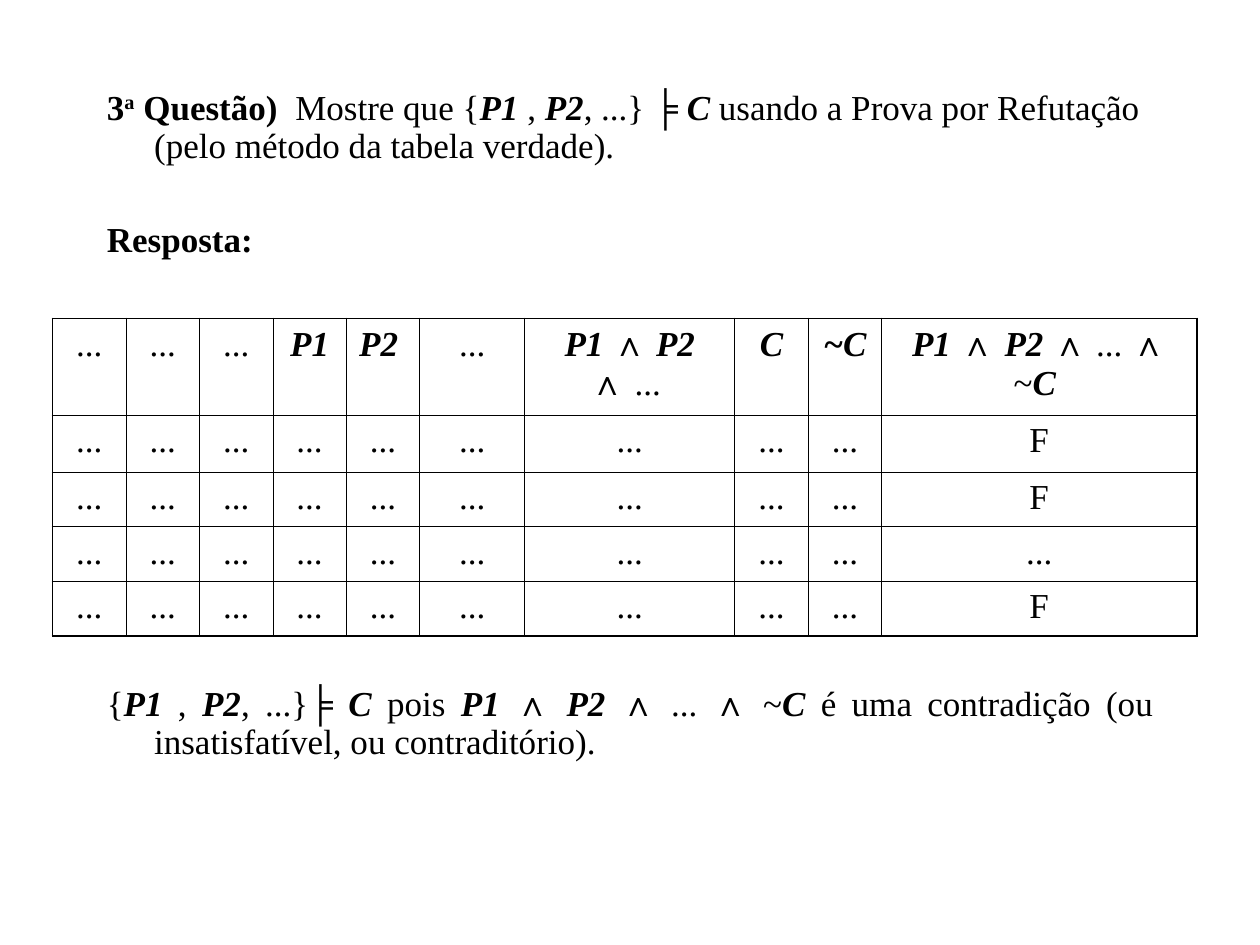
"""Build the slide on proof by refutation with a truth table."""
import pptx
import pptx.dml.color
import pptx.enum.text
import pptx.oxml.ns
import pptx.util
from lxml import etree

Pt = pptx.util.Pt
Align = pptx.enum.text.PP_ALIGN
COLORS = {"ink": "000000"}
SERIF, SANS = "Times New Roman", "Arial"
THIN, THICK = 0.45, 1.08
DOTS = "..."

TERM = {"bold": True, "italic": True}
SYMBOL = {"font": SANS}
PREMISES = [("{",), ("P1", TERM), (" , ",), ("P2", TERM)]
CONJUNCTION = [
    ("P1 ", TERM), ("∧ ", SYMBOL), ("P2 ", TERM), ("∧", SYMBOL),
    (" ... ",), ("∧", SYMBOL), (" ~",),
]
QUESTION = [
    ("3", {"bold": True}), ("a", {"bold": True, "baseline": 30000}),
    (" Questão)  ", {"bold": True}), ("Mostre que ",), *PREMISES,
    (", ...} ╞ ",), ("C", TERM),
    (" usando a Prova por Refutação (pelo método da tabela verdade).",),
]
ANSWER = [("Resposta:", {"bold": True})]
CONCLUSION = [
    *PREMISES, (", ...}╞ ",), ("C", TERM), (" pois ",), *CONJUNCTION, ("C", TERM),
    (" é uma contradição (ou insatisfatível, ou contraditório).",),
]
HEADER = [
    *[[(DOTS,)]] * 3, [("P1", TERM)], [("P2 ", TERM)], [(DOTS,)],
    [("P1 ", TERM), ("∧", {**TERM, **SYMBOL}), (" P2 ", TERM),
     ("∧ ", {**TERM, **SYMBOL}), ("... ",)],
    [("C", TERM)], [("~C", TERM)], [*CONJUNCTION, ("C ", TERM)],
]
RESULTS = ["F", "F", DOTS, "F"]
COLUMN_WIDTHS = [42] * 5 + [60, 120, 42, 42, 180]
ROW_HEIGHTS = [31, 32.4, 31, 31, 31.4]


def add_run(paragraph, text, bold=False, italic=False, font=SERIF, size=20, baseline=0):
    """Append formatted text to a paragraph."""
    run = paragraph.add_run()
    run.text = text
    run.font.name = font
    run.font.size = Pt(size)
    run.font.bold = bold
    run.font.italic = italic
    run.font.color.rgb = pptx.dml.color.RGBColor.from_string(COLORS["ink"])
    if baseline:
        run.font._element.set("baseline", str(baseline))


def fill_paragraph(paragraph, runs, align, space_before=5):
    """Set a paragraph's layout and add its runs."""
    paragraph.alignment = align
    paragraph.space_before = Pt(space_before)
    for text, *style in runs:
        add_run(paragraph, text, **(style[0] if style else {}))


def add_body(slide):
    """Add the question, the answer heading and the conclusion."""
    frame = slide.shapes.add_textbox(Pt(54), Pt(48), Pt(612), Pt(432)).text_frame
    frame.word_wrap = True
    blocks = [
        (QUESTION, Align.LEFT, 5),
        (ANSWER, Align.LEFT, 32),
        (CONCLUSION, Align.JUSTIFY, 244),
    ]
    for index, (runs, align, space_before) in enumerate(blocks):
        paragraph = frame.add_paragraph() if index else frame.paragraphs[0]
        fill_paragraph(paragraph, runs, align, space_before)
        paragraph.line_spacing = 0.9
        properties = paragraph._p.get_or_add_pPr()
        properties.set("marL", str(Pt(27)))
        properties.set("indent", str(Pt(-27)))


def set_borders(cell, widths):
    """Draw a cell's borders from a dict of side tags and widths."""
    qn = pptx.oxml.ns.qn
    properties = cell._tc.get_or_add_tcPr()
    for position, (side, width) in enumerate(widths.items()):
        line = etree.Element(qn(f"a:{side}"), w=str(Pt(width)))
        fill = etree.SubElement(line, qn("a:solidFill"))
        etree.SubElement(fill, qn("a:srgbClr"), val=COLORS["ink"])
        properties.insert(position, line)


def add_truth_table(slide):
    """Add the truth table with a thicker outer frame."""
    rows = [HEADER] + [[[(DOTS,)]] * 9 + [[(result,)]] for result in RESULTS]
    last_row, last_column = len(rows) - 1, len(HEADER) - 1
    table = slide.shapes.add_table(
        len(rows), len(HEADER), Pt(30), Pt(182),
        Pt(sum(COLUMN_WIDTHS)), Pt(sum(ROW_HEIGHTS)),
    ).table
    table.first_row = table.horz_banding = False
    for column, width in zip(table.columns, COLUMN_WIDTHS):
        column.width = Pt(width)
    for row, height in zip(table.rows, ROW_HEIGHTS):
        row.height = Pt(height)
    for r, row in enumerate(rows):
        for c, runs in enumerate(row):
            cell = table.cell(r, c)
            cell.fill.background()
            fill_paragraph(cell.text_frame.paragraphs[0], runs, Align.CENTER)
            set_borders(cell, {
                "lnL": THICK if c == 0 else THIN,
                "lnR": THICK if c == last_column else THIN,
                "lnT": THICK if r == 0 else THIN,
                "lnB": THICK if r == last_row else THIN,
            })


def main():
    """Create and save the presentation."""
    presentation = pptx.Presentation()
    presentation.slide_width = Pt(720)
    presentation.slide_height = Pt(540)
    slide = presentation.slides.add_slide(presentation.slide_layouts[6])
    add_body(slide)
    add_truth_table(slide)
    presentation.save("out.pptx")


if __name__ == "__main__":
    main()
